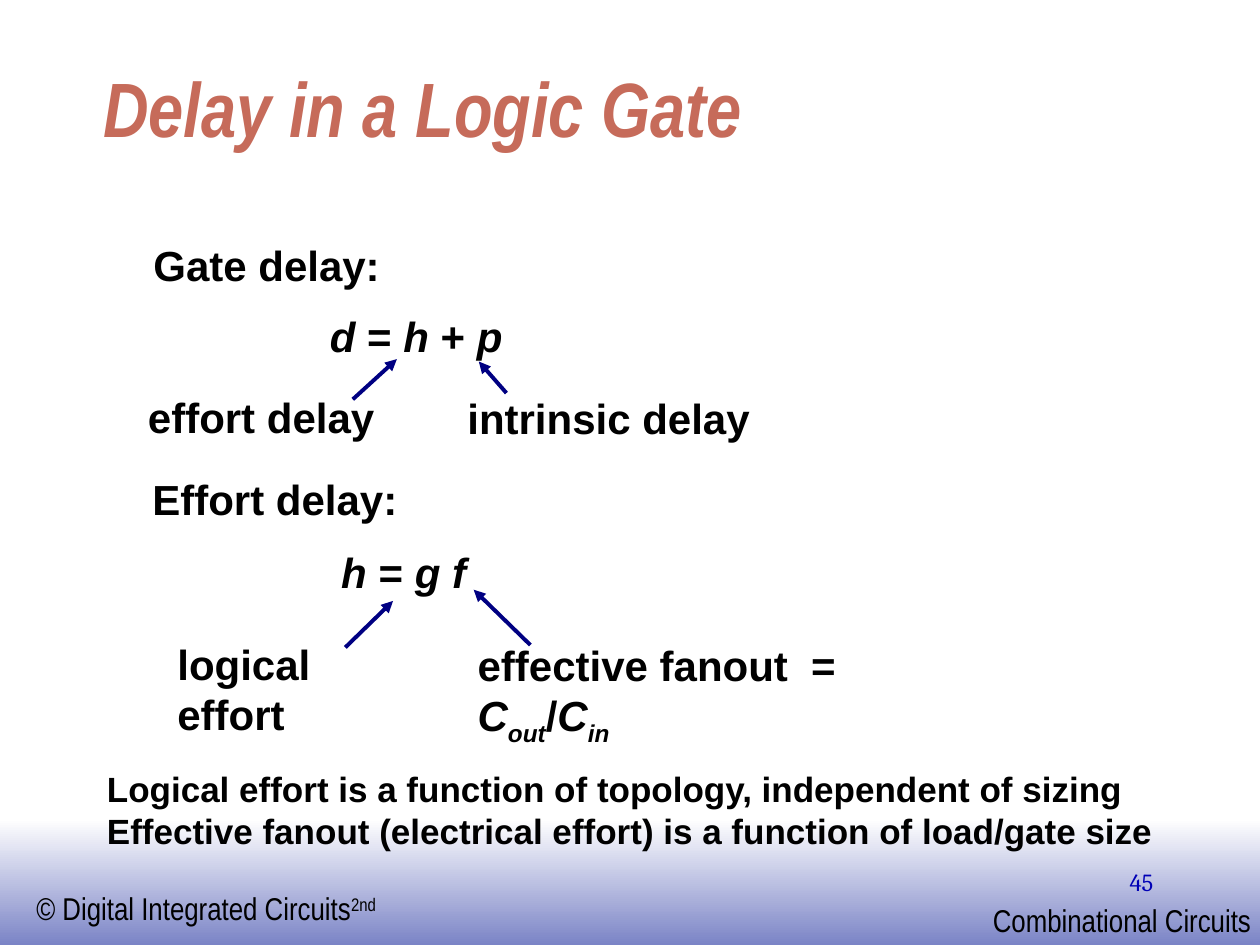
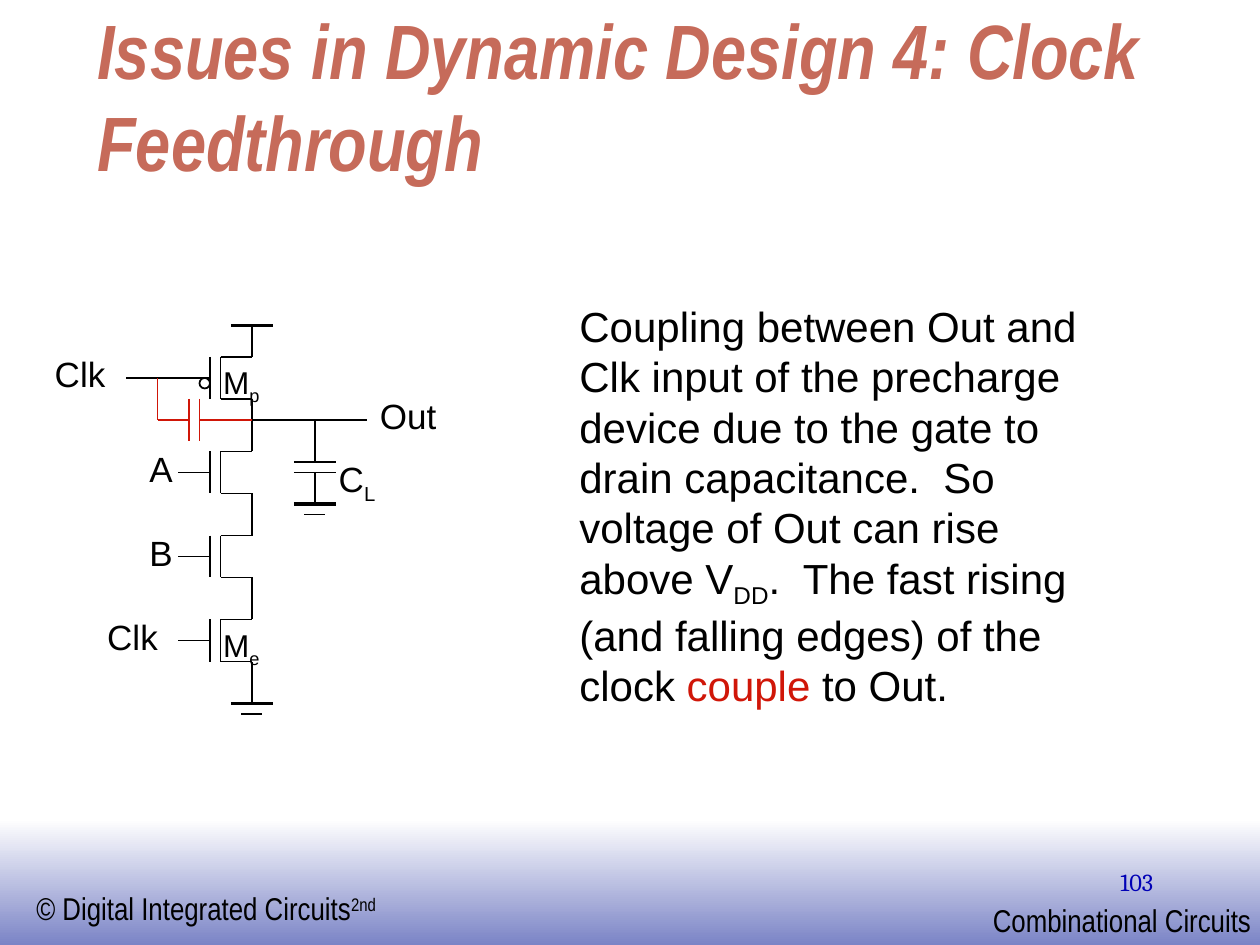
"""Build two lecture slides on logic gate delay and clock feedthrough."""
from lxml.etree import SubElement
from pptx import Presentation
from pptx.dml.color import RGBColor
from pptx.enum.shapes import MSO_CONNECTOR, MSO_SHAPE
from pptx.enum.text import MSO_ANCHOR, MSO_AUTO_SIZE, PP_ALIGN
from pptx.oxml.ns import qn
from pptx.util import Pt

BLACK = "000000"
RED = "D01608"
NAVY = "000082"
TITLE_COLOR = "C66B5A"
NUMBER_COLOR = "0000B6"
BAND_COLORS = ("FFFFFF", "7B84C6")
BASELINES = {"_": "-25000", "^": "30000"}


def add_text(slide, box, paragraphs, size, font="Arial", color=BLACK, bold=False):
    """Add a text box; run marks are i italic, r red, _ subscript and ^ superscript."""
    shape = slide.shapes.add_textbox(*[Pt(length) for length in box])
    text_frame = shape.text_frame
    text_frame.word_wrap = True
    text_frame.auto_size = MSO_AUTO_SIZE.NONE
    for index, pieces in enumerate(paragraphs):
        paragraph = text_frame.add_paragraph() if index else text_frame.paragraphs[0]
        for text, marks in pieces:
            run = paragraph.add_run()
            run.text = text
            run.font.name = font
            run.font.size = Pt(size)
            run.font.bold = bold
            run.font.italic = "i" in marks
            run.font.color.rgb = RGBColor.from_string(RED if "r" in marks else color)
            for mark, baseline in BASELINES.items():
                if mark in marks:
                    run._r.get_or_add_rPr().set("baseline", baseline)
    return text_frame


def add_line(slide, start_x, start_y, end_x, end_y, color=BLACK, width=1, arrow=False):
    """Add a straight line, with an arrowhead at its end if asked."""
    ends = [Pt(length) for length in (start_x, start_y, end_x, end_y)]
    connector = slide.shapes.add_connector(MSO_CONNECTOR.STRAIGHT, *ends)
    connector.line.color.rgb = RGBColor.from_string(color)
    connector.line.width = Pt(width)
    if arrow:
        SubElement(connector.line._get_or_add_ln(), qn("a:tailEnd"), type="triangle")
    SubElement(connector._element.spPr, qn("a:effectLst"))


presentation = Presentation()
presentation.slide_width = Pt(720)
presentation.slide_height = Pt(540)

slides = []
for title, title_left, title_top, number in [
    ("Delay in a Logic Gate", 52, 35, "45"),
    ("Issues in Dynamic Design 4: Clock Feedthrough", 48.6, 54.4, "103"),
]:
    slide = presentation.slides.add_slide(presentation.slide_layouts[6])
    slides.append(slide)

    band = slide.shapes.add_shape(MSO_SHAPE.RECTANGLE, Pt(0), Pt(468), Pt(720), Pt(72))
    band.shadow.inherit = False
    band.line.fill.background()
    band.fill.gradient()
    band.fill.gradient_angle = 270
    for stop, color, position in zip(band.fill.gradient_stops, BAND_COLORS, (0, 1)):
        stop.color.rgb = RGBColor.from_string(color)
        stop.position = position

    copyright_pieces = [("© Digital Integrated Circuits", ""), ("2nd", "^")]
    add_text(slide, (13.7, 504.7, 216, 29), [copyright_pieces], 18, "Arial Narrow")
    add_text(slide, (560.2, 511.2, 165, 29), [[("Combinational Circuits", "")]], 18, "Arial Narrow")
    title_frame = add_text(slide, (title_left, title_top, 612, 56), [[(title, "i")]], 44,
                           "Arial Narrow", TITLE_COLOR, bold=True)
    title_frame.vertical_anchor = MSO_ANCHOR.BOTTOM
    number_frame = add_text(slide, (516.2, 491.8, 150, 36), [[(number, "")]], 14,
                            "Cambria", NUMBER_COLOR)
    number_frame.paragraphs[0].alignment = PP_ALIGN.RIGHT

delay_slide, feedthrough_slide = slides

for box, pieces in [
    ((80.6, 133.2, 150, 36), [("Gate delay:", "")]),
    ((181.4, 174.2, 120, 36), [("d", "i"), (" = ", ""), ("h", "i"), (" + ", ""), ("p", "i")]),
    ((77.5, 220.3, 150, 36), [("effort delay", "")]),
    ((260, 220.6, 182, 36), [("intrinsic delay", "")]),
    ((80, 267.1, 162, 36), [("Effort delay:", "")]),
    ((187.9, 308.9, 94.3, 36), [("h", "i"), (" = ", ""), ("g f", "i")]),
    ((94.3, 361.2, 141, 65), [("logical effort", "")]),
    ((265.9, 361.7, 273.6, 69), [("effective fanout  = ", ""), ("C", "i"), ("out", "i_"),
                                 ("/", ""), ("C", "i"), ("in", "i_")]),
]:
    add_text(delay_slide, box, [pieces], 24, bold=True)

for arrow_ends in [
    (201.6, 228.2, 226.8, 205.2),
    (289.4, 224.6, 273.6, 206.6),
    (197.3, 370, 224.6, 343.4),
    (303.1, 368.6, 270.7, 337),
]:
    add_line(delay_slide, *arrow_ends, NAVY, 2.25, arrow=True)

conclusions = [
    [("Logical effort is a function of topology, independent of sizing", "")],
    [("Effective fanout (electrical effort) is a function of load/gate size", "")],
]
add_text(delay_slide, (54, 434.9, 624, 55.4), conclusions, 20, bold=True)

for top in (204, 258, 306, 354):
    bottom, middle = top + 24, top + 12
    for segment in [
        (126, top, 144, top),
        (126, top, 126, bottom),
        (126, bottom, 144, bottom),
        (120, top, 120, bottom),
        (144, bottom, 144, bottom + 18),
        (102, middle, 120, middle),
        (144, top - 18, 144, top),
    ]:
        add_line(feedthrough_slide, *segment)

bubble = feedthrough_slide.shapes.add_shape(MSO_SHAPE.OVAL, Pt(114), Pt(216), Pt(6), Pt(6))
bubble.shadow.inherit = False
bubble.fill.background()
bubble.line.color.rgb = RGBColor.from_string(BLACK)
bubble.line.width = Pt(1)

load_capacitor = [(180, 240, 180, 264), (168, 264, 192, 264), (168, 270, 192, 270), (180, 270, 180, 288)]
wires = [(144, 384, 144, 402), (144, 240, 210, 240), (72, 216, 102, 216)]
for segment in load_capacitor + wires:
    add_line(feedthrough_slide, *segment)

for center, top in [(180, 288), (144, 402)]:
    add_line(feedthrough_slide, center - 12, top, center + 12, top, width=2.25)
    add_line(feedthrough_slide, center - 6, top + 6, center + 6, top + 6)
add_line(feedthrough_slide, 132, 186, 156, 186, width=2.25)

for segment in [
    (90, 216, 90, 240),
    (90, 240, 108, 240),
    (108, 228, 108, 252),
    (114, 228, 114, 252),
    (114, 240, 144, 240),
]:
    add_line(feedthrough_slide, *segment, RED)

for left, top, width, name, subscript, size in [
    (24.2, 198, 50, "Clk", "", 20),
    (78.2, 252, 34, "A", "", 20),
    (78.2, 300, 34, "B", "", 20),
    (54.2, 348, 50, "Clk", "", 20),
    (210, 222, 54, "Out", "", 20),
    (186.5, 258, 42, "C", "L", 20),
    (120.5, 204, 42, "M", "p", 18),
    (120.5, 354, 42, "M", "e", 18),
]:
    pieces = [(name, "")] + ([(subscript, "_")] if subscript else [])
    add_text(feedthrough_slide, (left, top, width, 31.7), [pieces], size)

explanation = [
    ("Coupling between Out and Clk input of the precharge device due to the gate to drain "
     "capacitance.  So voltage of Out can rise above V", ""),
    ("DD", "_"),
    (".  The fast rising (and falling edges) of the clock ", ""),
    ("couple", "r"),
    (" to Out.", ""),
]
add_text(feedthrough_slide, (324, 168, 318, 242), [explanation], 24)

presentation.save("out.pptx")
